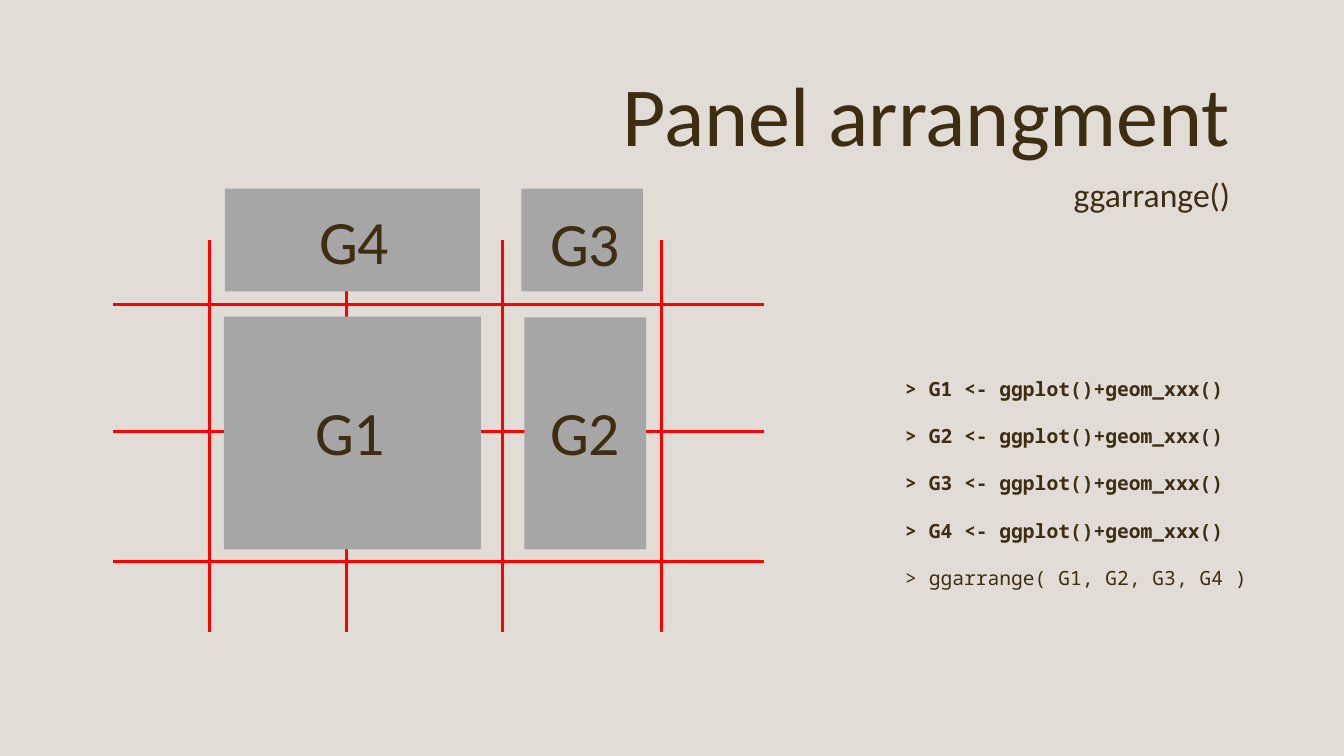
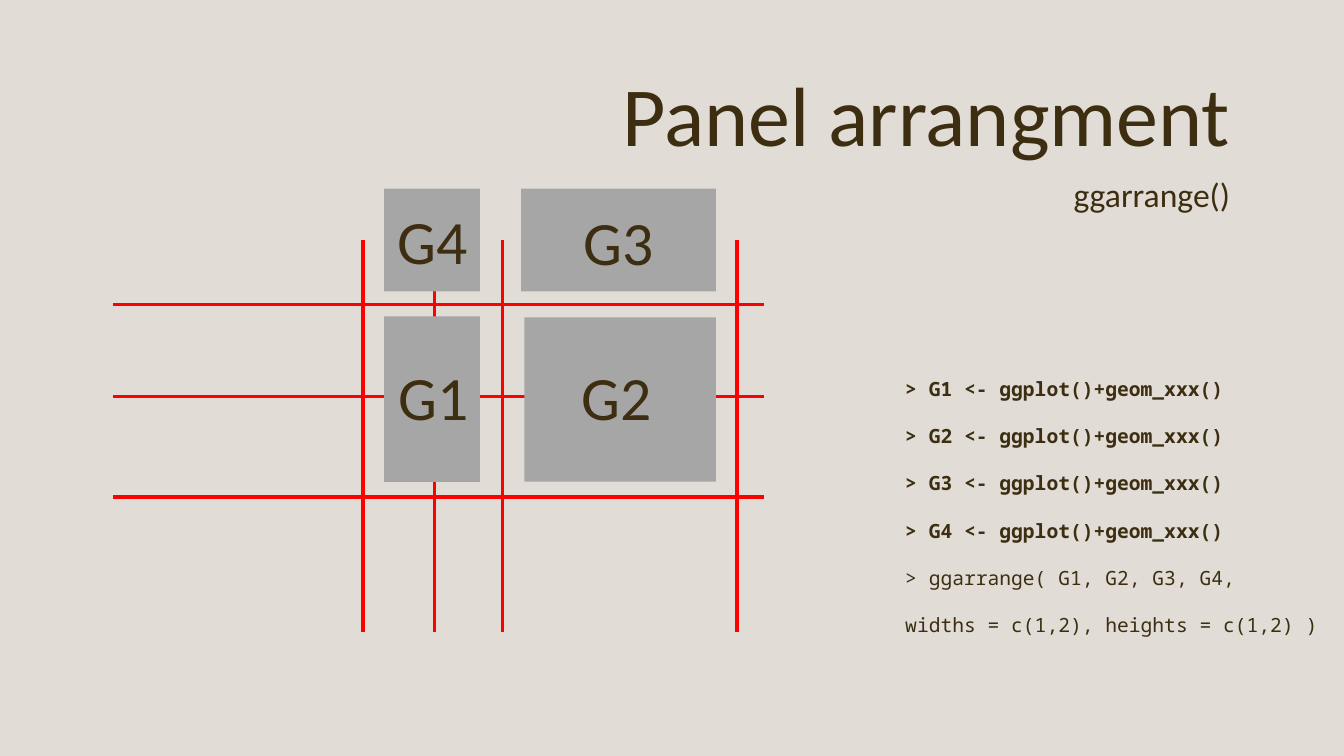
from dataclasses import dataclass

import pptx
import pptx.dml.color
import pptx.enum.shapes
import pptx.enum.text
import pptx.oxml
import pptx.util

Inches = pptx.util.Inches
Pt = pptx.util.Pt
ALIGN = pptx.enum.text.PP_ALIGN


@dataclass(frozen=True)
class Theme:
    background: str = "E1DDD6"
    ink: str = "3D2D11"
    code_ink: str = "3D2E12"
    panel: str = "A6A6A6"
    guide: str = "FF0000"
    font: str = "Calibri"
    code_font: str = "Noto Sans Mono"
    title_size: int = 60
    label_size: int = 44
    subtitle_size: int = 24
    code_size: int = 14
    guide_width: float = 2.25


THEME = Theme()
GUIDE_X = (1.12, 7.58)
GUIDE_Y = (2.38, 6.27)
LABEL_SIZE = (0.9, 0.84)
PLOT_LINES = [f"> G{i} <- ggplot()+geom_xxx()" for i in range(1, 5)]


def rgb(value):
    return pptx.dml.color.RGBColor.from_string(value)


def write(tf, text, *, size, font=THEME.font, color=THEME.ink, bold=False,
          align=ALIGN.LEFT, spacing=None, first=True):
    """Write one paragraph; first=False appends it to the frame."""
    p = tf.paragraphs[0] if first else tf.add_paragraph()
    p.alignment = align
    if spacing:
        p.line_spacing = spacing
    r = p.add_run()
    r.text = text
    r.font.size = Pt(size)
    r.font.name = font
    r.font.bold = bold
    r.font.color.rgb = rgb(color)


class Deck:
    def __init__(self, theme):
        self.theme = theme
        self.prs = pptx.Presentation()
        self.prs.slide_width = Inches(13.33)
        self.prs.slide_height = Inches(7.5)
        self.slide = None

    def add_slide(self, title, subtitle):
        self.slide = self.prs.slides.add_slide(self.prs.slide_layouts[6])
        fill = self.slide.background.fill
        fill.solid()
        fill.fore_color.rgb = rgb(self.theme.background)
        write(self.text_frame(6.01, 0.57, 6.29, 1.11), title,
              size=self.theme.title_size, align=ALIGN.RIGHT)
        write(self.text_frame(10.53, 1.68, 1.77, 0.5), subtitle,
              size=self.theme.subtitle_size, align=ALIGN.RIGHT)

    def text_frame(self, *box):
        sp = self.slide.shapes.add_textbox(*map(Inches, box))
        tf = sp.text_frame
        tf.word_wrap = False
        tf.auto_size = pptx.enum.text.MSO_AUTO_SIZE.SHAPE_TO_FIT_TEXT
        return tf

    def guide(self, x1, y1, x2, y2):
        line = self.slide.shapes.add_connector(
            pptx.enum.shapes.MSO_CONNECTOR.STRAIGHT,
            *map(Inches, (x1, y1, x2, y2)))
        line.line.color.rgb = rgb(self.theme.guide)
        line.line.width = Pt(self.theme.guide_width)
        effects = pptx.oxml.parse_xml(
            '<a:effectLst xmlns:a='
            '"http://schemas.openxmlformats.org/drawingml/2006/main"/>')
        line._element.spPr.append(effects)

    def guides(self, rows, columns):
        for y in rows:
            self.guide(GUIDE_X[0], y, GUIDE_X[1], y)
        for x in columns:
            self.guide(x, GUIDE_Y[1], x, GUIDE_Y[0])

    def panel(self, *box):
        sp = self.slide.shapes.add_shape(
            pptx.enum.shapes.MSO_SHAPE.RECTANGLE, *map(Inches, box))
        sp.shadow.inherit = False
        sp.fill.solid()
        sp.fill.fore_color.rgb = rgb(self.theme.panel)
        sp.line.fill.background()

    def label(self, text, left, top):
        write(self.text_frame(left, top, *LABEL_SIZE), text,
              size=self.theme.label_size, align=ALIGN.RIGHT)

    def code(self, call_lines, width, height):
        """Bold plot assignments followed by the lines of the final call."""
        tf = self.text_frame(8.88, 3.46, width, height)
        for i, text in enumerate(PLOT_LINES + call_lines):
            write(tf, text, size=self.theme.code_size,
                  font=self.theme.code_font, color=self.theme.code_ink,
                  bold=i < len(PLOT_LINES), spacing=2.0, first=i == 0)


ARRANGEMENTS = [
    {
        "rows": (3.02, 4.28, 5.57),
        "columns": (2.08, 3.44, 4.98, 6.56),
        "panels": [(2.22, 3.14, 2.55, 2.31), (5.17, 1.87, 1.21, 1.02),
                   (5.2, 3.15, 1.21, 2.3), (2.23, 1.87, 2.53, 1.02)],
        "labels": {"G1": (3.02, 3.86), "G2": (5.35, 3.86),
                   "G3": (5.35, 1.98), "G4": (3.06, 1.96)},
        "call": ["> ggarrange( G1, G2, G3, G4 )"],
        "code_size": (3.61, 2.38),
    },
    {
        "rows": (3.02, 3.93, 4.93),
        "columns": (3.6, 4.31, 4.98, 7.31),
        "panels": [(3.81, 3.14, 0.95, 1.64), (5.17, 1.87, 1.93, 1.02),
                   (5.2, 3.15, 1.9, 1.63), (3.81, 1.87, 0.95, 1.02)],
        "labels": {"G1": (3.85, 3.51), "G2": (5.66, 3.51),
                   "G3": (5.68, 1.97), "G4": (3.84, 1.96)},
        "call": ["> ggarrange( G1, G2, G3, G4,",
                 "widths = c(1,2), heights = c(1,2) )"],
        "code_size": (4.31, 2.86),
    },
]


def main():
    deck = Deck(THEME)
    for arrangement in ARRANGEMENTS:
        deck.add_slide("Panel arrangment", "ggarrange()")
        deck.guides(arrangement["rows"], arrangement["columns"])
        for box in arrangement["panels"]:
            deck.panel(*box)
        for text, corner in arrangement["labels"].items():
            deck.label(text, *corner)
        deck.code(arrangement["call"], *arrangement["code_size"])
    deck.prs.save("out.pptx")


if __name__ == "__main__":
    main()
